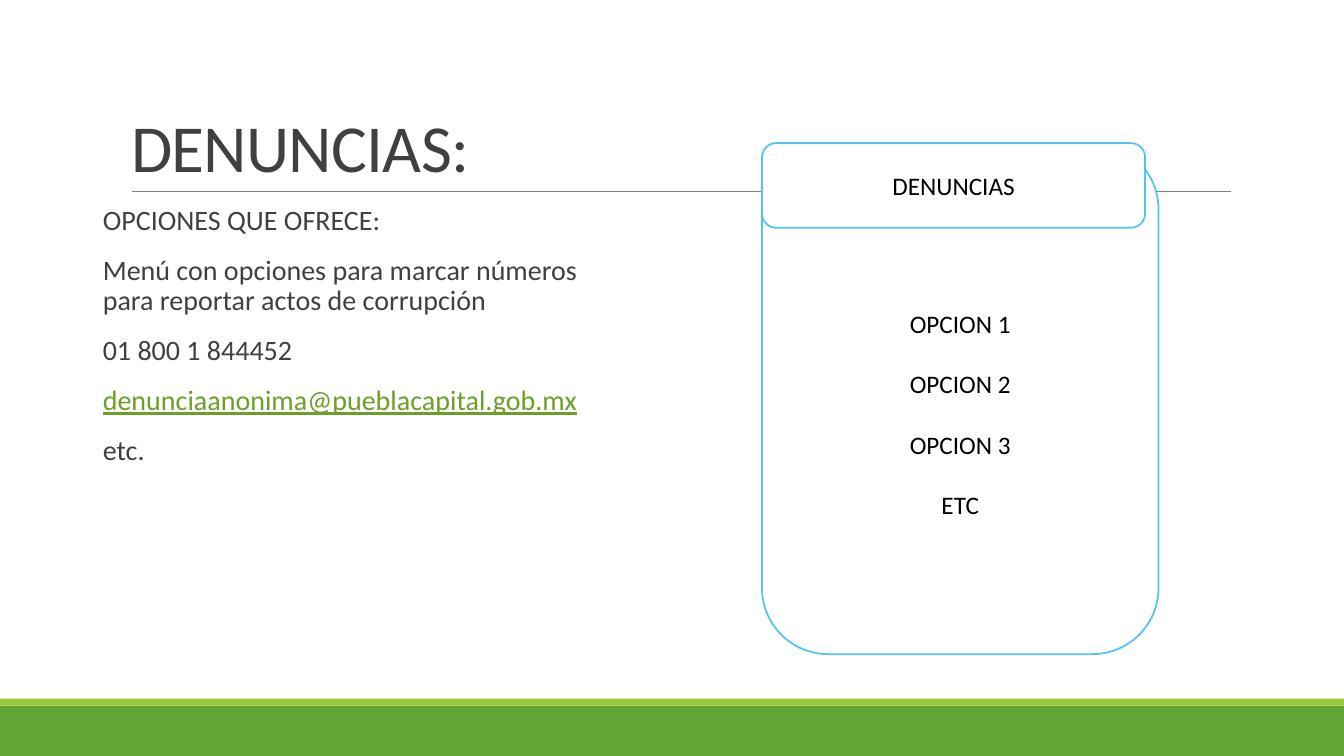
"""Build the DENUNCIAS slide: contact options beside a sample menu panel."""
from dataclasses import dataclass

from lxml.etree import SubElement
from pptx import Presentation
from pptx.dml.color import RGBColor as Rgb
from pptx.enum.shapes import MSO_CONNECTOR as Connector, MSO_SHAPE as Shape
from pptx.enum.text import MSO_ANCHOR as Anchor, MSO_AUTO_SIZE as AutoSize, PP_ALIGN as Align
from pptx.oxml.ns import qn
from pptx.util import Inches, Pt


@dataclass(frozen=True)
class Theme:
    font: str = "Calibri"
    title_size: int = 48
    body_size: int = 20
    panel_size: int = 18
    ink: str = "404040"
    black: str = "000000"
    white: str = "FFFFFF"
    green: str = "63A537"
    lime: str = "99CB38"
    link: str = "6B9F25"
    rule: str = "808080"
    sky: str = "51C3F9"


class Page:
    def __init__(self, deck, theme):
        self.theme = theme
        self.width, self.height = deck.slide_width, deck.slide_height
        self.slide = deck.slides.add_slide(deck.slide_layouts[1])

    def area(self, left, top, width, height):
        return (int(self.width * left / 100), int(self.height * top / 100),
                int(self.width * width / 100), int(self.height * height / 100))

    def style(self, para, size, color, align):
        para.alignment = align
        para.font.name = self.theme.font
        para.font.size = Pt(size)
        para.font.color.rgb = Rgb.from_string(color)

    def place(self, holder, area, anchor):
        holder.left, holder.top, holder.width, holder.height = self.area(*area)
        frame = holder.text_frame
        frame.auto_size = AutoSize.NONE
        frame.word_wrap = True
        frame.vertical_anchor = anchor
        return frame

    def title(self, text, area):
        frame = self.place(self.slide.shapes.title, area, Anchor.BOTTOM)
        para = frame.paragraphs[0]
        span = para.add_run()
        span.text = text
        span._r.get_or_add_rPr().set("spc", "-50")
        self.style(para, self.theme.title_size, self.theme.ink, Align.LEFT)
        para.line_spacing = 0.85

    def body(self, lines, area, link):
        frame = self.place(self.slide.placeholders[1], area, Anchor.TOP)
        frame.margin_left = frame.margin_right = 0
        frame.text = "\n".join(lines)
        for para in frame.paragraphs:
            self.style(para, self.theme.body_size, self.theme.ink, Align.LEFT)
            para.line_spacing = 0.9
            para.space_before, para.space_after = Pt(12), Pt(2)
            properties = para._p.get_or_add_pPr()
            properties.set("marL", str(Inches(0.1)))
            properties.set("indent", "0")
            bullet = SubElement(properties, qn("a:buNone"))
            properties.find(qn("a:spcAft")).addnext(bullet)
            if para.text == link:
                span = para.runs[0]
                span.font.underline = True
                span.font.color.rgb = Rgb.from_string(self.theme.link)

    def box(self, kind, area, fill):
        box = self.slide.shapes.add_shape(kind, *self.area(*area))
        box.shadow.inherit = False
        box.fill.solid()
        box.fill.fore_color.rgb = Rgb.from_string(fill)
        box.line.fill.background()
        return box

    def panel(self, lines, area, top_inset=0.05):
        box = self.box(Shape.ROUNDED_RECTANGLE, area, self.theme.white)
        box.line.color.rgb = Rgb.from_string(self.theme.sky)
        box.line.width = Pt(1.25)
        frame = box.text_frame
        frame.word_wrap = True
        frame.vertical_anchor = Anchor.MIDDLE
        frame.margin_top = Inches(top_inset)
        frame.text = "\n".join(lines)
        for para in frame.paragraphs:
            self.style(para, self.theme.panel_size, self.theme.black, Align.CENTER)
            para.space_before = Pt(21.6)

    def rule(self, left, right, top):
        start_x, y, span_x, _ = self.area(left, top, right - left, 0)
        line = self.slide.shapes.add_connector(Connector.STRAIGHT, start_x, y, start_x + span_x, y)
        line.line.color.rgb = Rgb.from_string(self.theme.rule)
        line.line.width = Pt(0.5)
        SubElement(line._element.spPr, qn("a:effectLst"))


def main():
    deck = Presentation()
    deck.slide_width, deck.slide_height = Inches(13.33), Inches(7.5)
    theme = Theme()
    page = Page(deck, theme)
    email = "denunciaanonima@pueblacapital.gob.mx"

    page.box(Shape.RECTANGLE, (0, 93.33, 100, 6.67), theme.green)
    page.box(Shape.RECTANGLE, (0, 92.4, 100, 0.93), theme.lime)
    page.rule(9.83, 91.6, 25.33)
    page.title("DENUNCIAS:", (9, 4.13, 82.5, 21.2))
    page.body(["OPCIONES QUE OFRECE:",
               "Menú con opciones para marcar números para reportar actos de corrupción",
               "01 800 1 844452", email, "etc."],
              (6.9, 26.67, 40.13, 63.47), email)

    left, top = 56.7, 18.93
    options = [f"OPCION {number}" for number in range(1, 4)] + ["ETC"]
    page.panel(options, (left, top, 29.5, 67.6), top_inset=0.35)
    page.panel(["DENUNCIAS"], (left, top, 28.5, 11.2))
    deck.save("out.pptx")


main()
